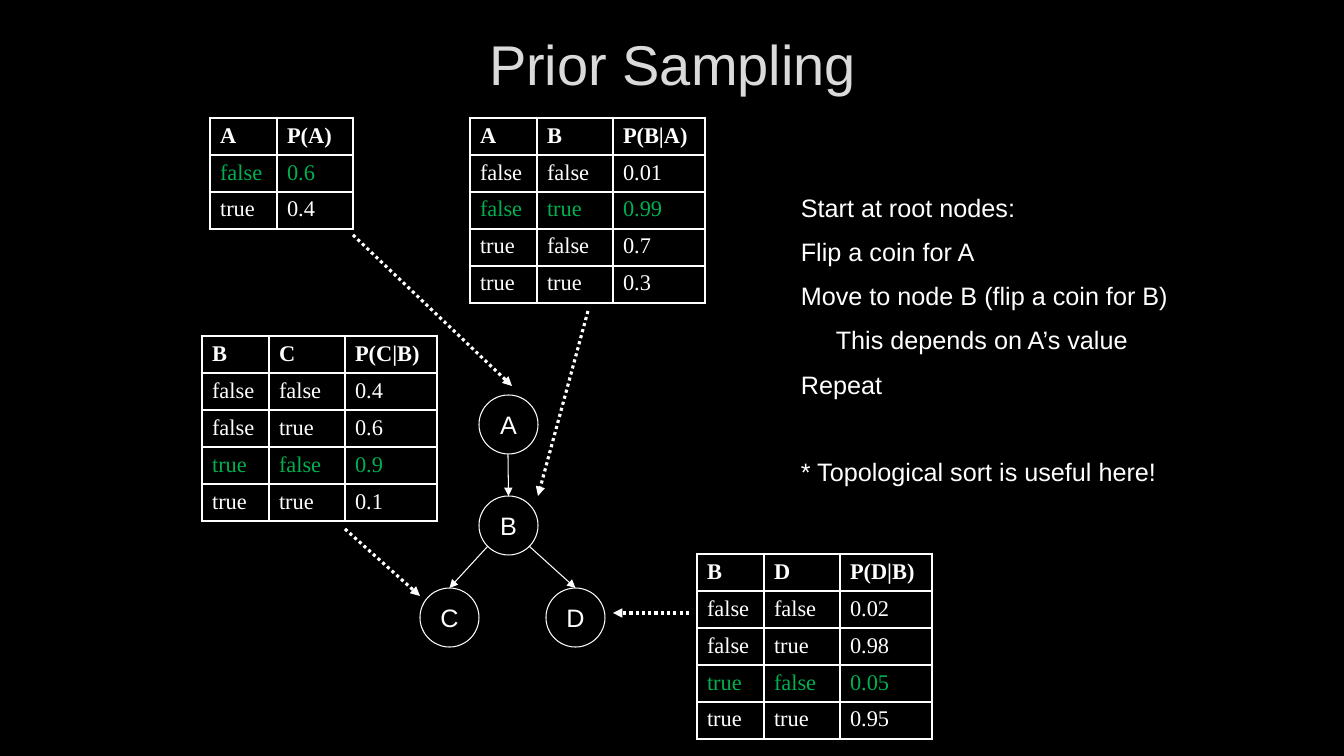
from lxml import etree
from pptx import Presentation, util as u
from pptx.dml.color import RGBColor
from pptx.enum import dml, shapes, text
from pptx.oxml import ns

PX = 12192000 / 1344
BLACK = RGBColor(0x00, 0x00, 0x00)
WHITE = RGBColor(0xFF, 0xFF, 0xFF)
SILVER = RGBColor(0xDA, 0xDA, 0xDA)
GREEN = RGBColor(0x00, 0xB0, 0x50)


def px(*lengths):
    return [u.Emu(round(length * PX)) for length in lengths]


def style(paragraph, size, color, name="Arial", bold=False):
    paragraph.font.size = u.Pt(size)
    paragraph.font.name = name
    paragraph.font.bold = bold
    paragraph.font.color.rgb = color


presentation = Presentation()
presentation.slide_width, presentation.slide_height = px(1344, 756)
slide = presentation.slides.add_slide(presentation.slide_layouts[6])
slide.background.fill.solid()
slide.background.fill.fore_color.rgb = BLACK

# Title
title = slide.shapes.add_textbox(*px(244, 17, 857, 93)).text_frame
title.word_wrap = True
title.vertical_anchor = text.MSO_ANCHOR.MIDDLE
title.text = "Prior Sampling"
title.paragraphs[0].alignment = text.PP_ALIGN.CENTER
style(title.paragraphs[0], 40, SILVER)

# Sampling steps: wording, indent in px, space before in points
steps = [
    ("Start at root nodes:", 0, 0),
    ("Flip a coin for A", 0, 10),
    ("Move to node B (flip a coin for B)", 0, 10),
    ("This depends on A’s value", 35, 10),
    ("Repeat", 0, 10),
    ("* Topological sort is useful here!", 0, 41),
]
steps_frame = slide.shapes.add_textbox(*px(791, 187, 471, 314)).text_frame
steps_frame.word_wrap = True
for index, (wording, indent, space) in enumerate(steps):
    paragraph = steps_frame.paragraphs[0] if index == 0 else steps_frame.add_paragraph()
    paragraph.text = wording
    paragraph.space_before = u.Pt(space)
    if indent:
        paragraph._p.get_or_add_pPr().set("marL", str(px(indent)[0]))
    style(paragraph, 18, WHITE)

# Probability tables: left, top, sampled row, rows
COLUMN_WIDTHS = [67, 76, 92]
ROW_HEIGHT = 37
OUTER, INNER = 2.25, 1
probability_tables = [
    (210, 118, 1, ["A P(A)", "false 0.6", "true 0.4"]),
    (470, 118, 2, ["A B P(B|A)", "false false 0.01", "false true 0.99",
                   "true false 0.7", "true true 0.3"]),
    (202, 336, 3, ["B C P(C|B)", "false false 0.4", "false true 0.6",
                   "true false 0.9", "true true 0.1"]),
    (697, 554, 3, ["B D P(D|B)", "false false 0.02", "false true 0.98",
                   "true false 0.05", "true true 0.95"]),
]
for left, top, sampled_row, lines in probability_tables:
    rows = [line.split() for line in lines]
    last_row, last_column = len(rows) - 1, len(rows[0]) - 1
    widths = COLUMN_WIDTHS[:last_column + 1]
    if last_column == 1:
        widths = [67, 76]
    table = slide.shapes.add_table(
        len(rows), len(widths),
        *px(left, top, sum(widths), ROW_HEIGHT * len(rows))).table
    table.first_row = table.horz_banding = False
    for column, width in zip(table.columns, widths):
        column.width = px(width)[0]
    for r, row in enumerate(rows):
        table.rows[r].height = px(ROW_HEIGHT)[0]
        for c, value in enumerate(row):
            cell = table.cell(r, c)
            cell.text = value
            style(cell.text_frame.paragraphs[0], 16,
                  GREEN if r == sampled_row else WHITE, "Times New Roman", r == 0)
            properties = cell._tc.get_or_add_tcPr()
            edges = {"lnL": c == 0, "lnR": c == last_column,
                     "lnT": r == 0, "lnB": r == last_row}
            for tag, is_outer in edges.items():
                border = etree.SubElement(properties, ns.qn(f"a:{tag}"))
                border.set("w", str(u.Pt(OUTER if is_outer else INNER)))
                fill = etree.SubElement(border, ns.qn("a:solidFill"))
                etree.SubElement(fill, ns.qn("a:srgbClr")).set("val", str(WHITE))
            cell.fill.background()

# Network nodes
NODE_SIZE = 59
nodes = {}
for name, left, top in [("A", 479, 395), ("B", 479, 496), ("C", 420, 588), ("D", 546, 588)]:
    node = slide.shapes.add_shape(
        shapes.MSO_SHAPE.OVAL, *px(left, top, NODE_SIZE, NODE_SIZE))
    node.shadow.inherit = False
    node.fill.solid()
    node.fill.fore_color.rgb = BLACK
    node.line.color.rgb = WHITE
    node.line.width = u.Pt(0.75)
    frame = node.text_frame
    frame.word_wrap = False
    frame.vertical_anchor = text.MSO_ANCHOR.MIDDLE
    frame.text = name
    frame.paragraphs[0].alignment = text.PP_ALIGN.CENTER
    style(frame.paragraphs[0], 18, WHITE)
    nodes[name] = node

# Arrows: from, to, node whose top it joins (None for a dotted table pointer)
arrows = [
    ((508, 454), (508, 496), "B"),
    ((488, 546), (450, 588), "C"),
    ((529, 546), (576, 588), "D"),
    ((353, 235), (512, 386), None),
    ((588, 311), (538, 496), None),
    ((689, 613), (613, 613), None),
    ((345, 529), (420, 596), None),
]
for start, end, child in arrows:
    arrow = slide.shapes.add_connector(
        shapes.MSO_CONNECTOR.STRAIGHT, *px(*start, *end))
    arrow.line.color.rgb = WHITE
    if child:
        arrow.end_connect(nodes[child], 0)
        arrow.line.width = u.Pt(0.75)
    else:
        arrow.line.width = u.Pt(2.25)
        arrow.line.dash_style = dml.MSO_LINE.ROUND_DOT
    line = arrow.line._get_or_add_ln()
    etree.SubElement(line, ns.qn("a:tailEnd")).set("type", "triangle")
    etree.SubElement(arrow._element.spPr, ns.qn("a:effectLst"))

presentation.save("out.pptx")
